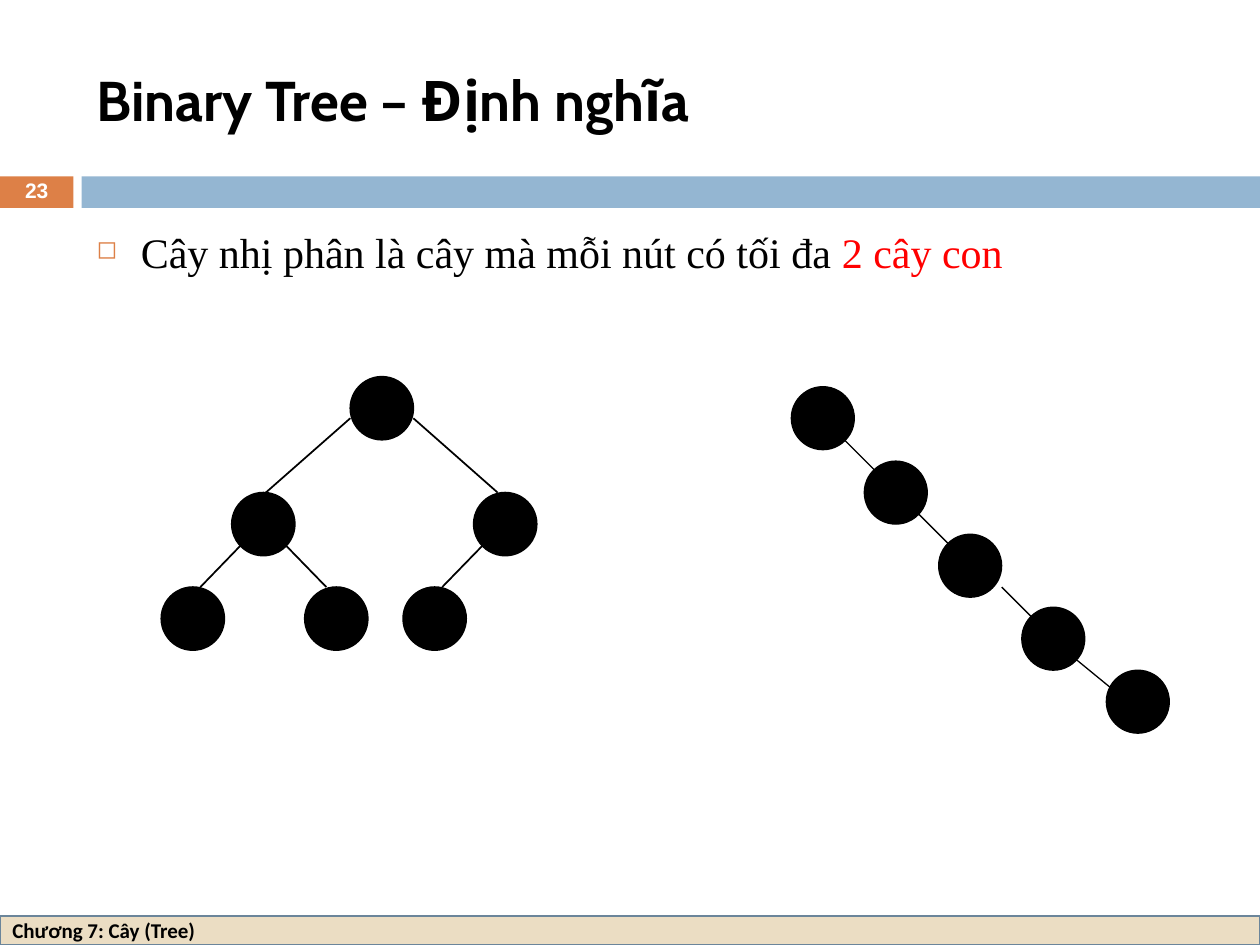
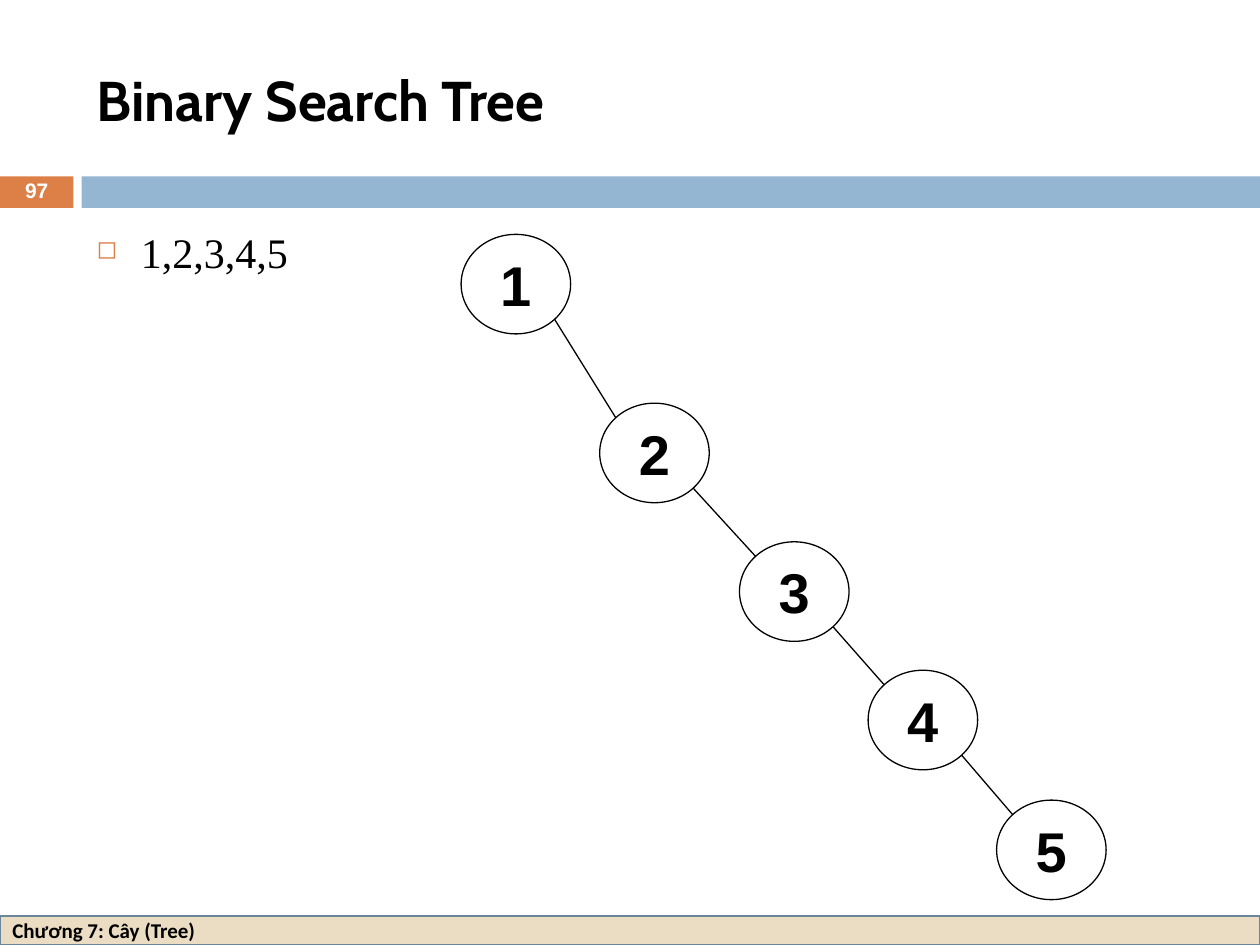
from dataclasses import dataclass
from itertools import pairwise
from math import sqrt

from lxml import etree
from pptx import Presentation
from pptx.dml.color import RGBColor
from pptx.enum.shapes import MSO_CONNECTOR, MSO_SHAPE
from pptx.enum.text import MSO_ANCHOR, PP_ALIGN
from pptx.oxml.ns import qn
from pptx.util import Pt

RECTANGLE, ELLIPSE = MSO_SHAPE.RECTANGLE, MSO_SHAPE.OVAL
STRAIGHT = MSO_CONNECTOR.STRAIGHT
TOP, MIDDLE = MSO_ANCHOR.TOP, MSO_ANCHOR.MIDDLE
LEFT, CENTER = PP_ALIGN.LEFT, PP_ALIGN.CENTER


@dataclass(frozen=True)
class Theme:
    black: str = "000000"
    white: str = "FFFFFF"
    red: str = "FF0000"
    orange: str = "DD8047"
    blue: str = "94B6D2"
    sand: str = "EBDDC3"
    slate: str = "6B859A"
    title_font: str = "Cabin"
    body_font: str = "Times New Roman"
    label_font: str = "Arial"
    footer_font: str = "Calibri"
    large: int = 32
    body: int = 24
    small: int = 12


THEME = Theme()
TITLE = dict(name=THEME.title_font, size=Pt(THEME.large), bold=True)
BODY = dict(name=THEME.body_font, size=Pt(THEME.body))
FOOTER = dict(name=THEME.footer_font, size=Pt(THEME.small), bold=True)
PAGE_NUMBER = dict(name=THEME.label_font, size=Pt(THEME.small), bold=True)
NODE_LABEL = dict(name=THEME.label_font, size=Pt(THEME.large), bold=True)

# Node positions (left, top) and edges (start x, start y, end x, end y)
CIRCLE = (36, 36)
BALANCED_NODES = [(200.2, 215.3), (132.5, 281.5), (270.7, 281.5),
                  (92.2, 335.5), (174.2, 335.5), (230.4, 335.5)]
BALANCED_EDGES = [(151.9, 281.5, 200.2, 239), (284.4, 281.5, 236.2, 239),
                  (114.5, 335.5, 138.2, 311), (186.5, 335.5, 162.7, 311),
                  (252.7, 335.5, 276.5, 311)]
CHAIN_NODES = [(452.2, 221), (493.9, 263.5), (536.4, 305.3),
               (583.9, 347), (632.2, 383)]
CHAIN_EDGES = [(482.4, 251.3, 500.4, 269.3), (524.2, 293, 542.2, 311),
               (572.4, 335.5, 590.4, 353.5), (644.4, 401, 608.4, 371.5)]
LABELLED_SIZE = (62.6, 56.9)
LABELLED_NODES = [(263.5, 133.9), (342.7, 230.4), (422.6, 309.6),
                  (496.1, 383), (569.5, 457.2)]


def color(value):
    return RGBColor.from_string(value)


def write(shape, runs, font, align=LEFT, anchor=MIDDLE, wrap=True):
    """Fill a shape with one paragraph of (text, colour) runs."""
    frame = shape.text_frame
    frame.word_wrap = wrap
    frame.vertical_anchor = anchor
    paragraph = frame.paragraphs[0]
    paragraph.alignment = align
    for text, run_color in runs:
        run = paragraph.add_run()
        run.text = text
        for key, value in font.items():
            setattr(run.font, key, value)
        run.font.color.rgb = color(run_color)
    return paragraph


def add_text(slide, box, runs, font, **layout):
    shape = slide.shapes.add_textbox(*map(Pt, box))
    return write(shape, runs, font, **layout)


def add_shape(slide, kind, box, fill=None, line=None, width=0.75):
    shape = slide.shapes.add_shape(kind, *map(Pt, box))
    shape.shadow.inherit = False
    if fill:
        shape.fill.solid()
        shape.fill.fore_color.rgb = color(fill)
    else:
        shape.fill.background()
    if line:
        shape.line.color.rgb = color(line)
        shape.line.width = Pt(width)
    else:
        shape.line.fill.background()
    return shape


def add_edge(slide, ends, width=0.75):
    connector = slide.shapes.add_connector(STRAIGHT, *map(Pt, ends))
    connector.line.color.rgb = color(THEME.black)
    connector.line.width = Pt(width)
    etree.SubElement(connector._element.spPr, qn("a:effectLst"))


def add_bullet(slide, runs):
    paragraph = add_text(slide, (48.2, 126, 642.2, 354.2), runs, BODY, anchor=TOP)
    properties = paragraph._p.get_or_add_pPr()
    properties.set("marL", str(Pt(25.2)))
    properties.set("indent", str(Pt(-25.2)))
    bullet_color = etree.SubElement(properties, qn("a:buClr"))
    etree.SubElement(bullet_color, qn("a:srgbClr"), val=THEME.orange)
    etree.SubElement(properties, qn("a:buSzPct"), val="60000")
    etree.SubElement(properties, qn("a:buChar"), char="◻")


def add_frame(presentation, title, number):
    """Add a slide with its bands, footer, title and page number."""
    slide = presentation.slides.add_slide(presentation.slide_layouts[6])
    add_shape(slide, RECTANGLE, (0, 100.8, 42, 18), THEME.orange)
    add_shape(slide, RECTANGLE, (46.6, 100.8, 673.4, 18), THEME.blue)
    footer = add_shape(slide, RECTANGLE, (0, 523.4, 720, 16.6),
                       THEME.sand, THEME.slate, 1.5)
    write(footer, [("Chương 7: Cây (Tree)", THEME.black)], FOOTER)
    add_text(slide, (48.2, 18, 642.2, 77.8), [(title, THEME.black)], TITLE)
    paragraph = add_text(slide, (0, 100.1, 42, 19.4),
                         [(str(number), THEME.white)], PAGE_NUMBER, align=CENTER)
    paragraph.line_spacing = 0.8
    return slide


def add_plain_tree(slide, nodes, edges, width):
    for node in nodes:
        add_shape(slide, ELLIPSE, (*node, *CIRCLE), THEME.black, THEME.black, width)
    for ends in edges:
        add_edge(slide, ends, width)


def add_labelled_chain(slide):
    """Number the nodes and join each lower right rim to the next upper left."""
    for number, node in enumerate(LABELLED_NODES, start=1):
        shape = add_shape(slide, ELLIPSE, (*node, *LABELLED_SIZE), line=THEME.black)
        write(shape, [(str(number), THEME.black)], NODE_LABEL,
              align=CENTER, wrap=False)
    near = (1 - sqrt(0.5)) / 2
    far = 1 - near
    node_width, node_height = LABELLED_SIZE
    for (left, top), (next_left, next_top) in pairwise(LABELLED_NODES):
        add_edge(slide, (left + far * node_width, top + far * node_height,
                         next_left + near * node_width,
                         next_top + near * node_height))


def main():
    presentation = Presentation()
    presentation.slide_width, presentation.slide_height = Pt(720), Pt(540)

    # Definition: a balanced tree beside a chain
    slide = add_frame(presentation, "Binary Tree – Định nghĩa", 23)
    add_bullet(slide, [("Cây nhị phân là cây mà mỗi nút có tối đa ", THEME.black),
                       ("2 cây con", THEME.red)])
    add_plain_tree(slide, BALANCED_NODES, BALANCED_EDGES, 1)
    add_plain_tree(slide, CHAIN_NODES, CHAIN_EDGES, 0.75)

    # Search tree filled in ascending order
    slide = add_frame(presentation, "Binary Search Tree", 97)
    add_bullet(slide, [("1,2,3,4,5", THEME.black)])
    add_labelled_chain(slide)

    presentation.save("out.pptx")


if __name__ == "__main__":
    main()
